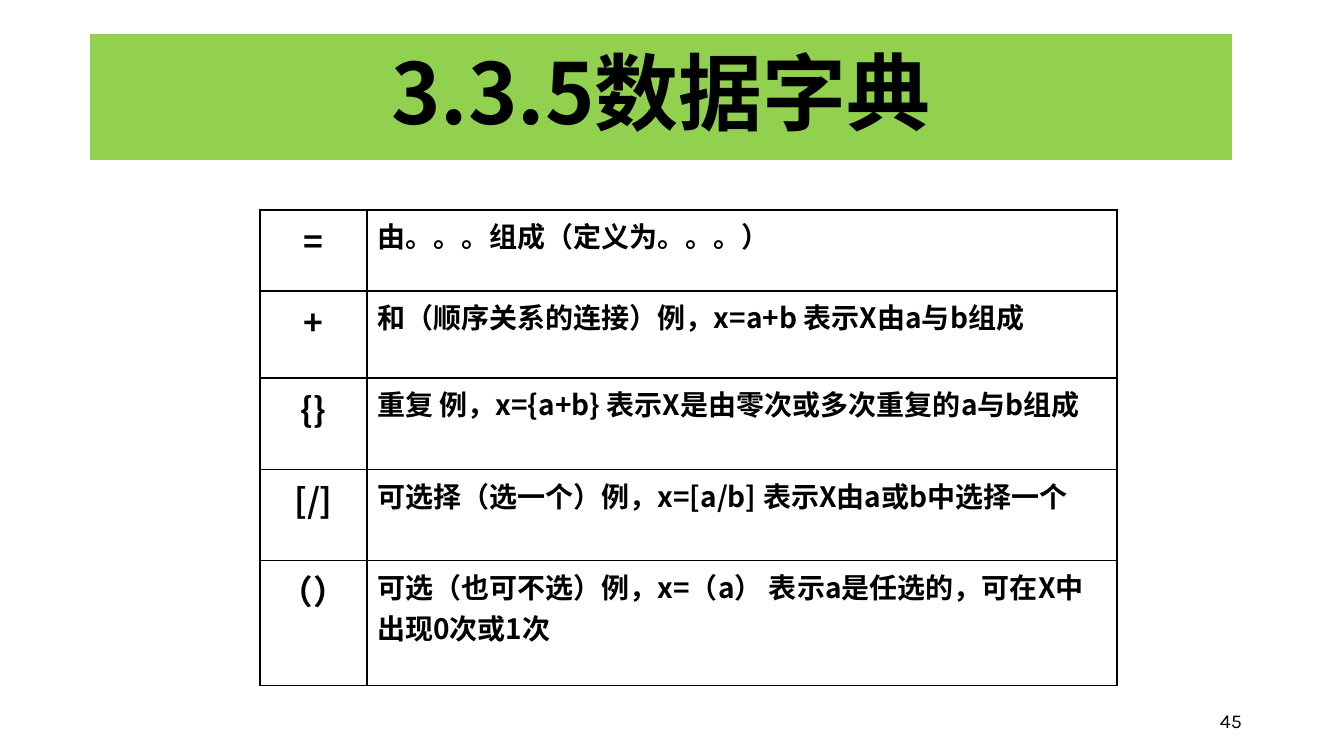
from dataclasses import dataclass
from typing import NamedTuple

from lxml import etree
from pptx import Presentation, util as u
from pptx.dml.color import RGBColor
from pptx.enum import shapes, text
from pptx.oxml import ns

PX = 914400 / 100.8


def px(length: int) -> int:
    return round(length * PX)


@dataclass(frozen=True)
class Theme:
    ink: str = "000000"
    banner: str = "92D050"
    cjk: str = "Noto Sans CJK SC"
    latin: str = "Karla"
    title_size: int = 60
    symbol_size: int = 24
    meaning_size: int = 20
    number_size: int = 14
    thin: float = 1
    thick: float = 2.25


class Box(NamedTuple):
    left: int
    top: int
    width: int
    height: int

    def emu(self) -> list[int]:
        return [px(side) for side in self]


class Entry(NamedTuple):
    symbol: str
    meaning: str
    height: int


THEME = Theme()
BANNER = Box(90, 34, 1142, 126)
DICTIONARY = Box(260, 210, 857, 455)
PAGE_NUMBER = Box(950, 701, 302, 40)
COLUMNS = (107, 750)
ENTRIES = (
    Entry("=", "由。。。组成（定义为。。。）", 81),
    Entry("+", "和（顺序关系的连接）例，x=a+b 表示X由a与b组成", 87),
    Entry("{}", "重复 例，x={a+b} 表示X是由零次或多次重复的a与b组成", 81),
    Entry("[/]", "可选择（选一个）例，x=[a/b] 表示X由a或b中选择一个", 81),
    Entry("（）", "可选（也可不选）例，x=（a） 表示a是任选的，可在X中出现0次或1次", 125),
)


def write(frame, words: str, size: int, align, font: str = THEME.cjk,
          bold: bool = True) -> None:
    frame.word_wrap = True
    paragraph = frame.paragraphs[0]
    paragraph.alignment = align
    run = paragraph.add_run()
    run.text = words
    run.font.size = u.Pt(size)
    run.font.bold = bold
    run.font.color.rgb = RGBColor.from_string(THEME.ink)
    run.font.name = font
    east_asian = etree.SubElement(run._r.get_or_add_rPr(), ns.qn("a:ea"))
    east_asian.set("typeface", font)


def add_borders(cell, widths: dict[str, float]) -> None:
    properties = cell._tc.get_or_add_tcPr()
    for place, (side, width) in enumerate(widths.items()):
        line = etree.Element(ns.qn(f"a:ln{side}"), w=str(u.Pt(width)))
        fill = etree.SubElement(line, ns.qn("a:solidFill"))
        etree.SubElement(fill, ns.qn("a:srgbClr"), val=THEME.ink)
        properties.insert(place, line)


def add_banner(slide) -> None:
    banner = slide.shapes.add_shape(shapes.MSO_SHAPE.RECTANGLE, *BANNER.emu())
    banner.shadow.inherit = False
    banner.fill.solid()
    banner.fill.fore_color.rgb = RGBColor.from_string(THEME.banner)
    banner.line.fill.background()
    banner.text_frame.vertical_anchor = text.MSO_ANCHOR.MIDDLE
    write(banner.text_frame, "3.3.5数据字典", THEME.title_size, text.PP_ALIGN.CENTER)
    banner.text_frame.paragraphs[0].line_spacing = 0.9


def add_dictionary(slide) -> None:
    frame = slide.shapes.add_table(len(ENTRIES), len(COLUMNS), *DICTIONARY.emu())
    table = frame.table
    table.first_row = False
    table.horz_banding = False
    for column, width in zip(table.columns, COLUMNS):
        column.width = px(width)
    for row, entry in zip(table.rows, ENTRIES):
        row.height = px(entry.height)
        symbol, meaning = row.cells
        write(symbol.text_frame, entry.symbol, THEME.symbol_size, text.PP_ALIGN.CENTER)
        write(meaning.text_frame, entry.meaning, THEME.meaning_size, text.PP_ALIGN.LEFT)
        for cell, thick_side in ((symbol, "L"), (meaning, "R")):
            cell.fill.background()
            add_borders(cell, {side: THEME.thick if side == thick_side else THEME.thin
                               for side in "LRTB"})


def add_page_number(slide) -> None:
    frame = slide.shapes.add_textbox(*PAGE_NUMBER.emu()).text_frame
    frame.vertical_anchor = text.MSO_ANCHOR.MIDDLE
    write(frame, "45", THEME.number_size, text.PP_ALIGN.RIGHT, THEME.latin, bold=False)


def main() -> None:
    deck = Presentation()
    deck.slide_width, deck.slide_height = px(1344), px(756)
    slide = deck.slides.add_slide(deck.slide_layouts[6])

    # Title banner
    add_banner(slide)

    # Data dictionary symbols and their meanings
    add_dictionary(slide)

    # Page number
    add_page_number(slide)

    deck.save("out.pptx")


if __name__ == "__main__":
    main()
